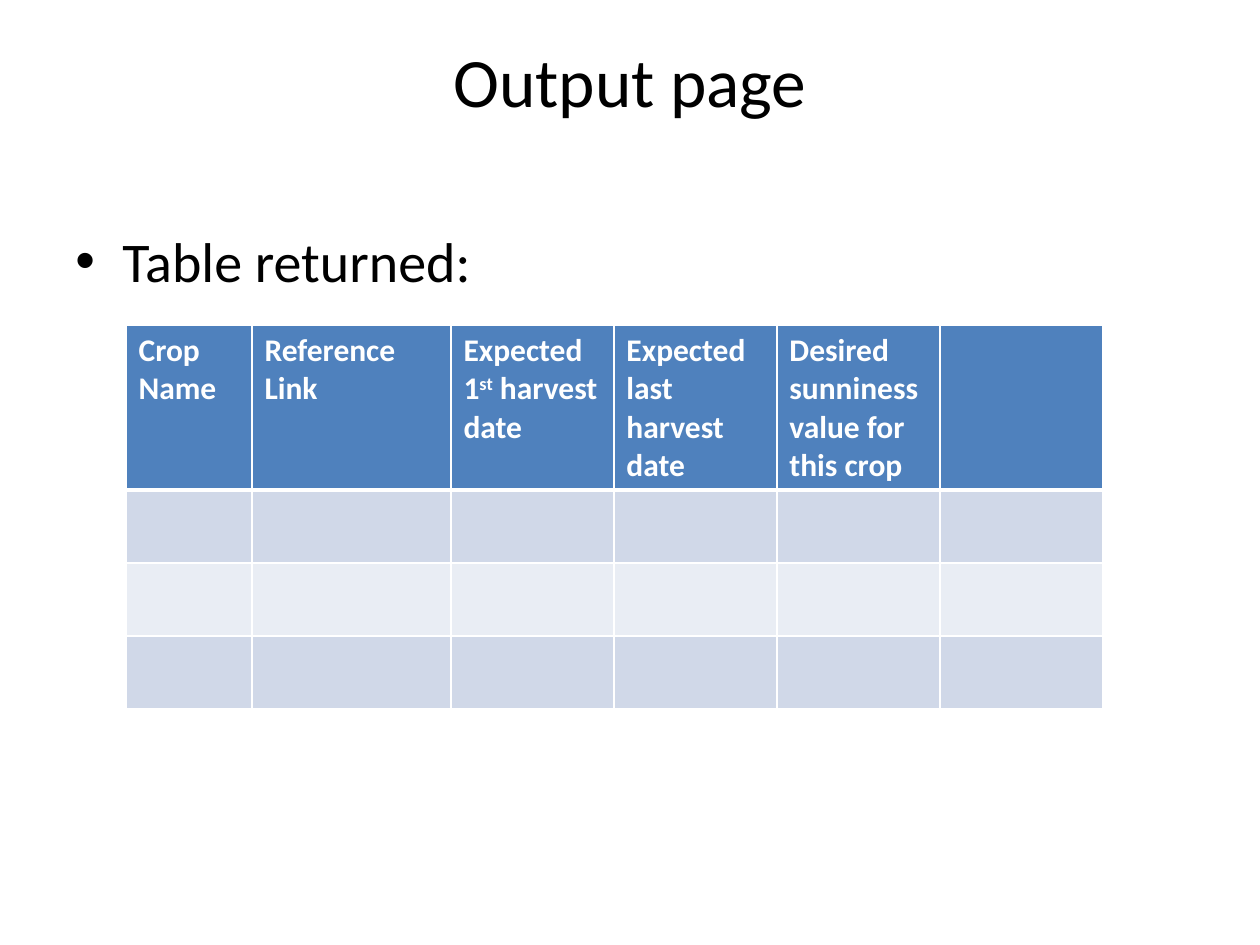
"""Build the output page slide with its table of crops."""
from dataclasses import dataclass

from lxml import etree
from pptx import Presentation
from pptx.dml.color import RGBColor
from pptx.enum.text import MSO_ANCHOR, PP_ALIGN
from pptx.oxml.ns import qn
from pptx.slide import Slide
from pptx.table import _Cell
from pptx.text.text import _Paragraph
from pptx.util import Emu, Pt

TOP = MSO_ANCHOR.TOP
LEFT, CENTER = PP_ALIGN.LEFT, PP_ALIGN.CENTER
EMU_PER_PIXEL = 914400 // 126
EMU_PER_POINT = 12700
FONT = "Calibri"
COLORS = {
    "text": "000000",
    "white": "FFFFFF",
    "header": "4F81BD",
    "odd": "D0D8E8",
    "even": "E9EDF4",
}


@dataclass(frozen=True)
class TextRun:
    text: str
    superscript: bool = False


@dataclass(frozen=True)
class Column:
    width: int
    heading: tuple[TextRun, ...] = ()


@dataclass(frozen=True)
class TextBlock:
    text: str
    top: int
    height: int
    size: float
    alignment: PP_ALIGN
    inset_top: int
    bulleted: bool = False


@dataclass(frozen=True)
class TableRow:
    height: int
    fill: str
    line_above: int = 1
    line_below: int = 1


TEXT_BLOCKS = (
    TextBlock("Output page", 38, 157, 39.6, CENTER, 0),
    TextBlock("Table returned:", 220, 624, 32, LEFT, 6, bulleted=True),
)
COLUMNS = (
    Column(126, (TextRun("Crop Name"),)),
    Column(199, (TextRun("Reference Link"),)),
    Column(163, (TextRun("Expected 1"), TextRun("st", True), TextRun(" harvest date"))),
    Column(163, (TextRun("Expected last harvest date"),)),
    Column(163, (TextRun("Desired sunniness value for this crop"),)),
    Column(163),
)
ROWS = (
    TableRow(165, "header", line_below=3),
    TableRow(73, "odd", line_above=3),
    TableRow(73, "even"),
    TableRow(73, "odd"),
)


def px(pixels: int) -> Emu:
    """Turn pixels into EMU."""
    return Emu(pixels * EMU_PER_PIXEL)


def add_run(paragraph: _Paragraph, content: TextRun, size: float, color: str, bold: bool = False) -> None:
    """Append one formatted run to a paragraph."""
    run = paragraph.add_run()
    run.text = content.text
    run.font.name = FONT
    run.font.size = Pt(size)
    run.font.bold = bold
    run.font.color.rgb = RGBColor.from_string(COLORS[color])
    if content.superscript:
        run._r.get_or_add_rPr().set("baseline", "30000")


def add_bullet(paragraph: _Paragraph, indent: int) -> None:
    """Give a paragraph a round bullet with a hanging indent."""
    properties = paragraph._p.get_or_add_pPr()
    properties.set("marL", str(px(indent)))
    properties.set("indent", str(-px(indent)))
    etree.SubElement(properties, qn("a:buFont"), typeface="Arial")
    etree.SubElement(properties, qn("a:buChar"), char="•")


def add_text_block(slide: Slide, block: TextBlock) -> None:
    """Add a text box across the slide."""
    shape = slide.shapes.add_textbox(px(63), px(block.top), px(1134), px(block.height))
    frame = shape.text_frame
    frame.word_wrap = True
    frame.vertical_anchor = TOP
    frame.margin_top = px(block.inset_top)
    paragraph = frame.paragraphs[0]
    paragraph.alignment = block.alignment
    if block.bulleted:
        add_bullet(paragraph, 47)
    add_run(paragraph, TextRun(block.text), block.size, "text")


def style_cell(cell: _Cell, row: TableRow) -> None:
    """Fill a cell and draw its white borders."""
    cell.fill.solid()
    cell.fill.fore_color.rgb = RGBColor.from_string(COLORS[row.fill])
    properties = cell._tc.get_or_add_tcPr()
    borders = {"a:lnL": 1, "a:lnR": 1, "a:lnT": row.line_above, "a:lnB": row.line_below}
    for position, (tag, points) in enumerate(borders.items()):
        line = properties.makeelement(qn(tag), {"w": str(points * EMU_PER_POINT)})
        fill = etree.SubElement(line, qn("a:solidFill"))
        etree.SubElement(fill, qn("a:srgbClr"), val=COLORS["white"])
        properties.insert(position, line)


def add_crop_table(slide: Slide) -> None:
    """Add the table with its heading row and empty rows."""
    width = sum(column.width for column in COLUMNS)
    height = sum(row.height for row in ROWS)
    shape = slide.shapes.add_table(
        len(ROWS), len(COLUMNS), px(126), px(325), px(width), px(height)
    )
    table = shape.table
    for index, column in enumerate(COLUMNS):
        table.columns[index].width = px(column.width)
        paragraph = table.cell(0, index).text_frame.paragraphs[0]
        for content in column.heading:
            add_run(paragraph, content, 18, "white", bold=True)
    for index, row in enumerate(ROWS):
        table.rows[index].height = px(row.height)
        for cell in table.rows[index].cells:
            style_cell(cell, row)


def main() -> None:
    """Create and save the presentation."""
    presentation = Presentation()
    presentation.slide_width = px(1260)
    presentation.slide_height = px(945)
    slide = presentation.slides.add_slide(presentation.slide_layouts[6])
    for block in TEXT_BLOCKS:
        add_text_block(slide, block)
    add_crop_table(slide)
    presentation.save("out.pptx")


main()
